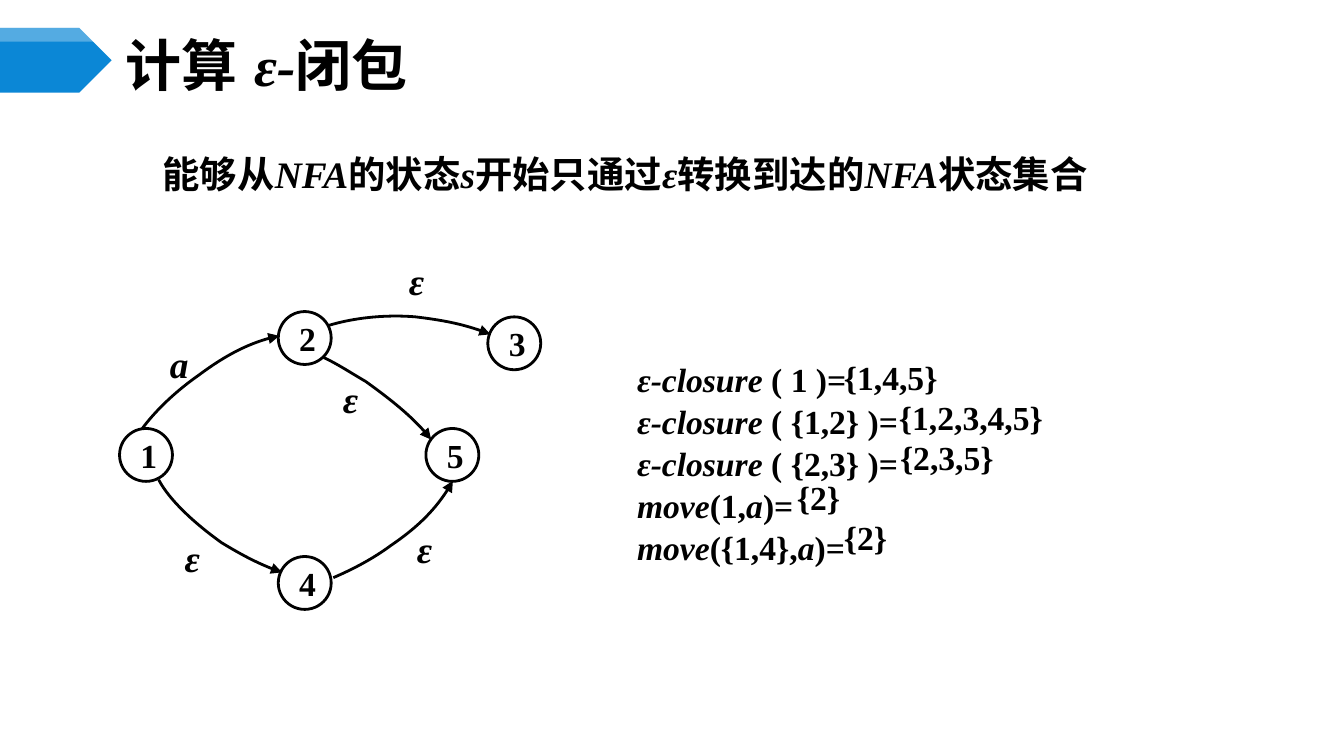
from lxml import etree
from pptx import Presentation
from pptx.dml.color import RGBColor
from pptx.enum.shapes import MSO_SHAPE
from pptx.enum.text import MSO_ANCHOR, MSO_AUTO_SIZE, PP_ALIGN
from pptx.oxml.ns import qn
from pptx.util import Cm, Pt

OVAL = MSO_SHAPE.OVAL
MIDDLE = MSO_ANCHOR.MIDDLE
FIXED = MSO_AUTO_SIZE.NONE
LEFT, CENTER = PP_ALIGN.LEFT, PP_ALIGN.CENTER

COLORS = {"ink": "000000", "blue": "0B87D6", "white": "FFFFFF"}
HAN, ROMAN = "Noto Sans CJK SC", "Times New Roman"


def color(name):
    return RGBColor.from_string(COLORS[name])


class Deck:
    """Holds the style and the current slide."""

    def __init__(self, width, height):
        self.file = Presentation()
        self.file.slide_width, self.file.slide_height = Cm(width), Cm(height)
        self.slide = self.file.slides.add_slide(self.file.slide_layouts[5])
        self.shapes = self.slide.shapes

    def fill_line(self, par, runs, size):
        """Add runs of (text, style, optional size); style is han, it or up."""
        for text, style, *own in runs:
            run = par.add_run()
            run.text = text
            font = run.font
            font.size = Pt(own[0] if own else size)
            font.bold, font.italic = True, style == "it"
            font.color.rgb = color("ink")
            font.name = HAN if style == "han" else ROMAN
            if style == "han":
                etree.SubElement(run._r.rPr, qn("a:ea"), typeface=HAN)

    def title(self, box, runs, size):
        shape = self.shapes.title
        shape.left, shape.top, shape.width, shape.height = map(Cm, box)
        frame = shape.text_frame
        frame.vertical_anchor, frame.auto_size = MIDDLE, FIXED
        frame.paragraphs[0].alignment = LEFT
        self.fill_line(frame.paragraphs[0], runs, size)

    def text(self, box, lines, size, align=LEFT, pitch=1.04):
        frame = self.shapes.add_textbox(*map(Cm, box)).text_frame
        frame.word_wrap = True
        for i, runs in enumerate(lines):
            par = frame.add_paragraph() if i else frame.paragraphs[0]
            par.alignment, par.line_spacing = align, pitch
            self.fill_line(par, runs, size)

    def node(self, left, top, name):
        shape = self.shapes.add_shape(OVAL, Cm(left), Cm(top), Cm(1), Cm(1))
        shape.shadow.inherit = False
        shape.fill.background()
        self.stroke(shape)
        frame = shape.text_frame
        frame.word_wrap, frame.vertical_anchor = True, MIDDLE
        frame.paragraphs[0].alignment = CENTER
        self.fill_line(frame.paragraphs[0], [(name, "up")], 18)

    def stroke(self, shape):
        shape.line.color.rgb = color("ink")
        shape.line.width = Pt(1.5)

    def outline(self, points, home=None, close=True):
        spots = [(Cm(x), Cm(y)) for x, y in points]
        pen = (home or self.shapes).build_freeform(*spots[0])
        pen.add_line_segments(spots[1:], close=close)
        shape = pen.convert_to_shape()
        shape.shadow.inherit = False
        return shape

    def solid(self, points, home, fill, alpha=None):
        shape = self.outline(points, home)
        shape.line.fill.background()
        shape.fill.solid()
        shape.fill.fore_color.rgb = color(fill)
        if alpha:
            tint = shape._element.spPr.find(".//" + qn("a:srgbClr"))
            etree.SubElement(tint, qn("a:alpha"), val=str(alpha * 1000))

    def arc(self, points):
        """Draw an arrow along cubic curves, three points to each."""
        shape = self.outline(points, close=False)
        shape.fill.background()
        self.stroke(shape)
        steps = list(shape._element.iter(qn("a:lnTo")))
        for i in range(0, len(steps), 3):
            curve = etree.Element(qn("a:cubicBezTo"))
            steps[i].addprevious(curve)
            for step in steps[i:i + 3]:
                curve.append(step[0])
                step.getparent().remove(step)
        etree.SubElement(shape.line._get_or_add_ln(), qn("a:tailEnd"), type="triangle")


def main():
    deck = Deck(25.4, 14.29)

    # Title and banner
    deck.title((2.11, 0.58, 22.02, 0.99),
               [("计算", "han"), (" ", "up", 40), ("ε-", "it"), ("闭包", "han")], 30)
    banner = deck.shapes.add_group_shape().shapes
    deck.solid([(0, 0.53), (1.5, 0.53), (2.11, 1.14), (1.5, 1.75), (0, 1.75)],
               banner, "blue")
    deck.solid([(0, 0.53), (1.98, 0.53), (2.11, 0.66), (1.98, 0.79), (0, 0.79)],
               banner, "white", 30)

    # Definition
    deck.text((2.11, 2.74, 19.41, 1.96), [[
        ("能够从", "han"), ("NFA", "it"), ("的状态", "han"), ("s", "it"),
        ("开始只通过", "han"), ("ε", "it"), ("转换到达的", "han"),
        ("NFA", "it"), ("状态集合", "han")]], 20, CENTER, 1)

    # States
    for left, top, name in [(2.26, 8.1, "1"), (5.26, 5.89, "2"), (9.22, 5.99, "3"),
                            (5.26, 10.52, "4"), (8.05, 8.1, "5")]:
        deck.node(left, top, name)

    # Moves: 1-2, 2-3, 2-5, 1-4, 4-5
    for points in [
        [(2.69, 8.1), (2.95, 7.75), (3.33, 7.39), (3.76, 7.09),
         (4.27, 6.71), (4.83, 6.43), (5.28, 6.35)],
        [(6.22, 6.15), (6.65, 6.02), (7.24, 5.94), (7.85, 5.99),
         (8.36, 6.05), (8.86, 6.15), (9.27, 6.32)],
        [(6.12, 6.76), (6.38, 6.88), (6.65, 7.06), (6.91, 7.21),
         (7.44, 7.59), (7.9, 7.98), (8.15, 8.31)],
        [(3, 9.07), (3.2, 9.45), (3.66, 9.88), (4.19, 10.26),
         (4.57, 10.49), (4.95, 10.69), (5.33, 10.82)],
        [(6.3, 10.92), (6.65, 10.77), (7.04, 10.57), (7.39, 10.31),
         (7.95, 9.93), (8.36, 9.47), (8.56, 9.09)],
    ]:
        deck.arc(points)

    # Move labels
    for left, top, mark in [(3.05, 6.3, "a"), (7.57, 4.72, "ε"), (6.32, 6.96, "ε"),
                            (3.33, 9.96, "ε"), (7.72, 9.78, "ε")]:
        deck.text((left, top, 0.41, 1.12), [[(mark, "it")]], 20)

    # Closures and their answers
    lines = [[("ε-closure ", "it"), (f"( {arg} )=", "up")]
             for arg in ("1", "{1,2}", "{2,3}")]
    lines += [[("move", "it"), (f"({arg},", "up"), ("a", "it"), (")=", "up")]
              for arg in ("1", "{1,4}")]
    deck.text((11.79, 6.63, 9.93, 4.06), lines, 18)
    answers = [(15.7, "{1,4,5}"), (16.74, "{1,2,3,4,5}"), (16.76, "{2,3,5}"),
               (14.81, "{2}"), (15.7, "{2}")]
    for i, (left, value) in enumerate(answers):
        deck.text((left, 6.6 + 0.755 * i, 3.4, 1.02), [[(value, "up")]], 18)

    deck.file.save("out.pptx")


if __name__ == "__main__":
    main()
